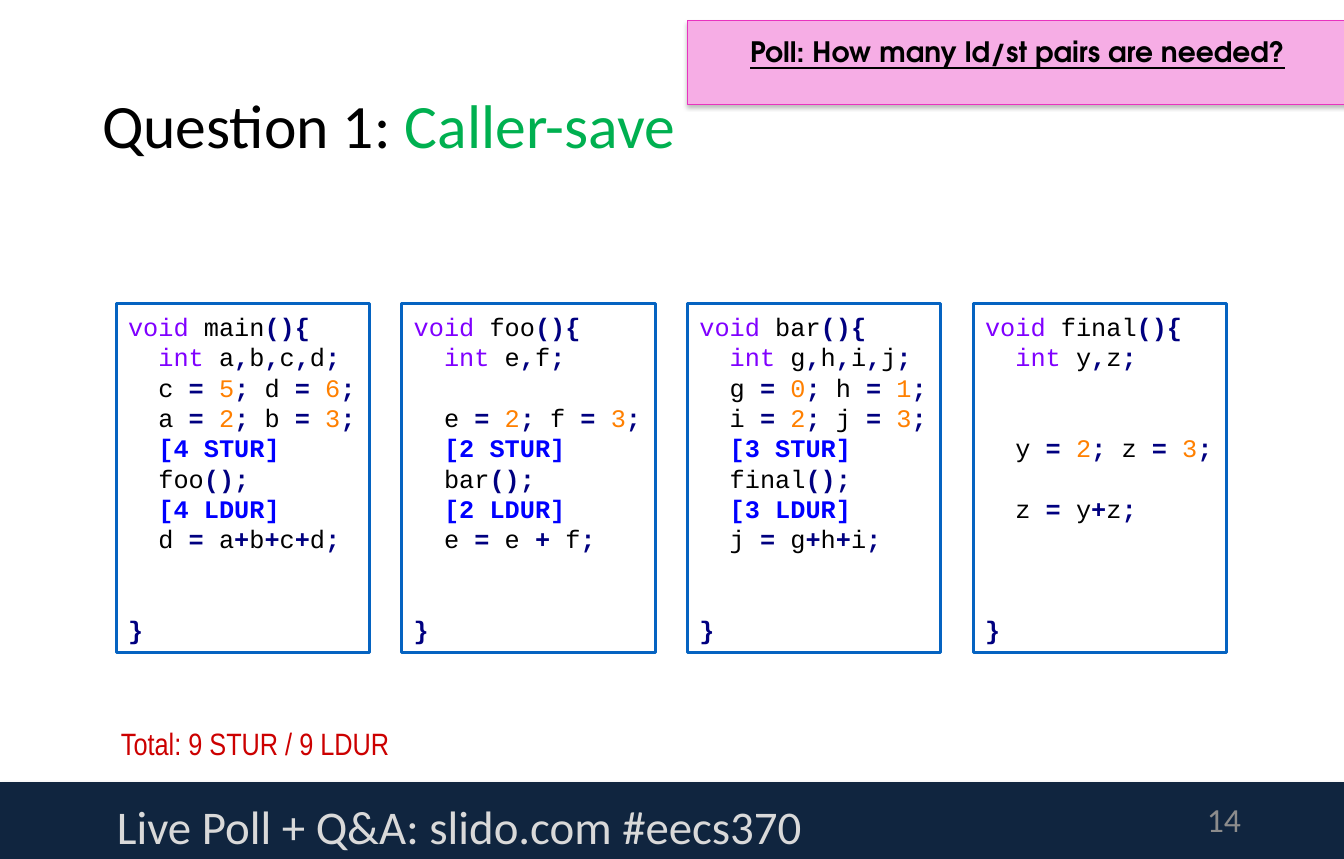
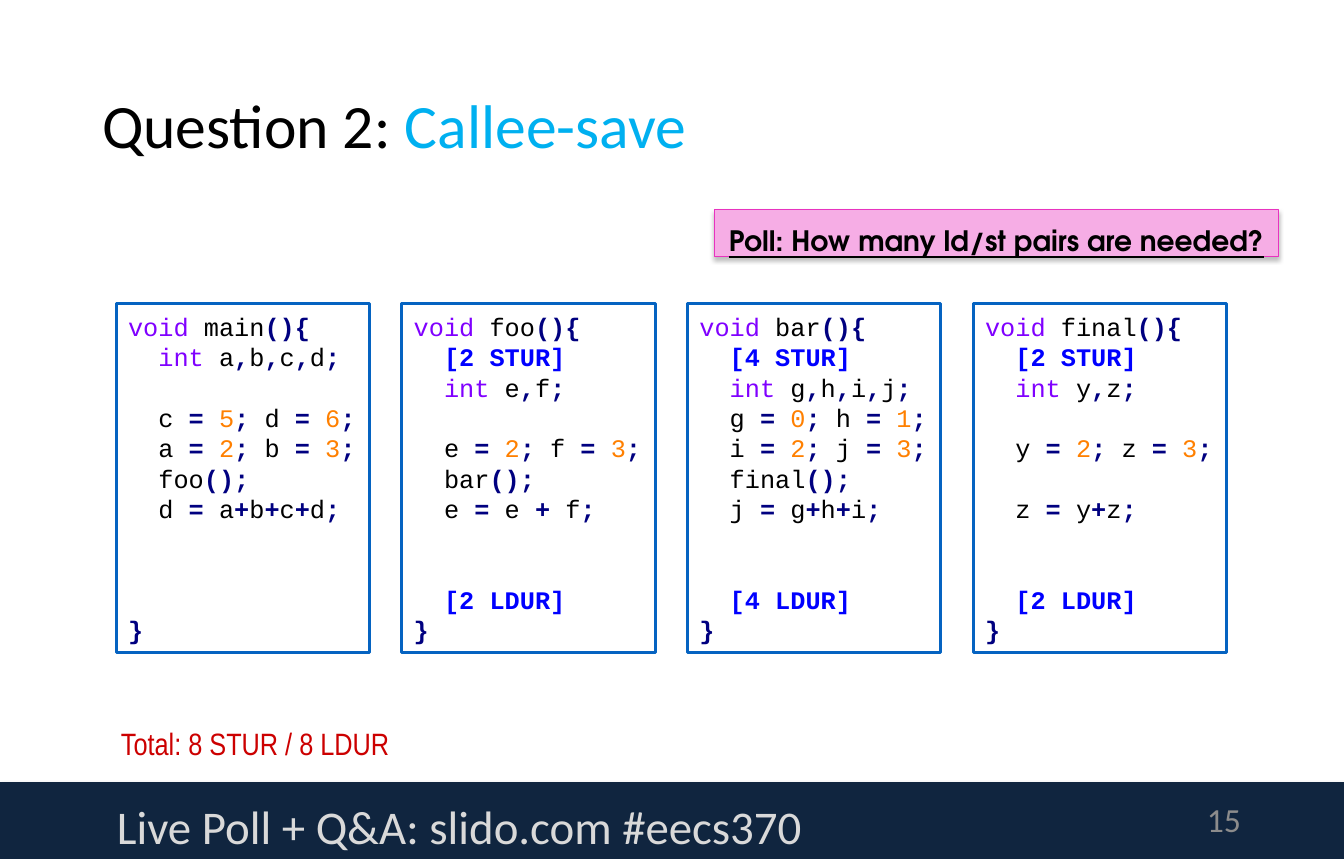
"""Build two poll slides on caller-save and callee-save registers."""
import itertools

import pptx
import pptx.dml.color
import pptx.enum.shapes
import pptx.enum.text
import pptx.oxml
import pptx.oxml.ns
import pptx.util
from pptx.dml.color import RGBColor
from pptx.util import Cm, Pt

BLACK = RGBColor(0x00, 0x00, 0x00)
WHITE = RGBColor(0xFF, 0xFF, 0xFF)
BAND = RGBColor(0x10, 0x25, 0x3F)
BAND_TEXT = RGBColor(0xD9, 0xD9, 0xD9)
NUMBER_GREY = RGBColor(0x8C, 0x8C, 0x8C)
GREEN = RGBColor(0x00, 0xB0, 0x50)
SKY = RGBColor(0x00, 0xB0, 0xF0)
FRAME = RGBColor(0x05, 0x63, 0xC1)
TOTAL_RED = RGBColor(0xCC, 0x00, 0x00)
PINK = RGBColor(0xF6, 0xAD, 0xE5)
PINK_EDGE = RGBColor(0xE8, 0x33, 0xBF)
KEYWORD = RGBColor(0x80, 0x00, 0xFF)
DIGIT = RGBColor(0xFF, 0x80, 0x00)
SYMBOL = RGBColor(0x00, 0x00, 0x80)
SAVE = RGBColor(0x00, 0x00, 0xFF)

RECTANGLE = pptx.enum.shapes.MSO_SHAPE.RECTANGLE
ALIGN = pptx.enum.text.PP_ALIGN
ANCHOR = pptx.enum.text.MSO_ANCHOR
FIT = pptx.enum.text.MSO_AUTO_SIZE
CODE_LINE = 21.6

QUESTIONS = [
    {
        "number": "14",
        "title": "Question 1: ",
        "policy": "Caller-save",
        "color": GREEN,
        "total": "Total: 9 STUR / 9 LDUR",
        "poll": (17.27, 0.51, 16.61, 2.11),
        "listings": [
            """void main(){
  int a,b,c,d;
  c = 5; d = 6;
  a = 2; b = 3;
  [4 STUR]
  foo();
  [4 LDUR]
  d = a+b+c+d;


}""",
            """void foo(){
  int e,f;

  e = 2; f = 3;
  [2 STUR]
  bar();
  [2 LDUR]
  e = e + f;


}""",
            """void bar(){
  int g,h,i,j;
  g = 0; h = 1;
  i = 2; j = 3;
  [3 STUR]
  final();
  [3 LDUR]
  j = g+h+i;


}""",
            """void final(){
  int y,z;


  y = 2; z = 3;

  z = y+z;



}""",
        ],
    },
    {
        "number": "15",
        "title": "Question 2: ",
        "policy": "Callee-save",
        "color": SKY,
        "total": "Total: 8 STUR / 8 LDUR",
        "poll": (17.96, 5.26, 14.17, 1.19),
        "listings": [
            """void main(){
  int a,b,c,d;

  c = 5; d = 6;
  a = 2; b = 3;
  foo();
  d = a+b+c+d;



}""",
            """void foo(){
  [2 STUR]
  int e,f;

  e = 2; f = 3;
  bar();
  e = e + f;


  [2 LDUR]
}""",
            """void bar(){
  [4 STUR]
  int g,h,i,j;
  g = 0; h = 1;
  i = 2; j = 3;
  final();
  j = g+h+i;


  [4 LDUR]
}""",
            """void final(){
  [2 STUR]
  int y,z;

  y = 2; z = 3;

  z = y+z;


  [2 LDUR]
}""",
        ],
    },
]


def add_span(para, text, font, size, color, bold=False):
    span = para.add_run()
    span.text = text
    span.font.name = font
    span.font.size = Pt(size)
    span.font.color.rgb = color
    span.font.bold = bold
    return span


def add_box(slide, place, fill, edge=None, edge_width=0, shadow=None):
    box = slide.shapes.add_shape(RECTANGLE, *map(Cm, place))
    box.shadow.inherit = False
    box.fill.solid()
    box.fill.fore_color.rgb = fill
    if edge is None:
        box.line.fill.background()
    else:
        box.line.color.rgb = edge
        box.line.width = Pt(edge_width)
    if shadow:
        color, alpha, blur, distance = shadow
        effects = box._element.spPr.find(pptx.oxml.ns.qn("a:effectLst"))
        effects.append(pptx.oxml.parse_xml(
            f'<a:outerShdw {pptx.oxml.ns.nsdecls("a")} blurRad="{Pt(blur)}" '
            f'dist="{Pt(distance)}" dir="5400000" rotWithShape="0">'
            f'<a:srgbClr val="{color}"><a:alpha val="{alpha * 1000}"/></a:srgbClr>'
            '</a:outerShdw>'))
    frame = box.text_frame
    frame.margin_left = frame.margin_right = Cm(0.3)
    frame.margin_top = frame.margin_bottom = Cm(0.15)
    return box


deck = pptx.Presentation()
deck.slide_width = Cm(33.78)
deck.slide_height = Cm(21.59)

for question in QUESTIONS:
    page = deck.slides.add_slide(deck.slide_layouts[5])
    add_box(page, (0, 19.66, 33.78, 1.93), BAND, shadow=("808080", 35, 3.1, 1.8))

    title = page.shapes.title
    title.left, title.top, title.width, title.height = map(Cm, (2.31, 1.14, 29.13, 4.17))
    title.text_frame.auto_size = FIT.NONE
    title.text_frame.vertical_anchor = ANCHOR.MIDDLE
    para = title.text_frame.paragraphs[0]
    para.alignment = ALIGN.LEFT
    para.line_spacing = 0.9
    add_span(para, question["title"], "Calibri", 43.9, BLACK)
    add_span(para, question["policy"], "Calibri", 43.9, question["color"])

    for column, listing in enumerate(question["listings"]):
        place = (2.92 + 7.18 * column, 7.62, 6.37, 8.79)
        frame = add_box(page, place, WHITE, FRAME, 2.25).text_frame
        frame.word_wrap = False
        frame.vertical_anchor = ANCHOR.MIDDLE
        para = frame.paragraphs[0]
        skipped = 0
        for row, line in enumerate(listing.split("\n")):
            if not line:
                skipped += 1
                continue
            if row:
                para = frame.add_paragraph()
            para.alignment = ALIGN.LEFT
            para.line_spacing = Pt(CODE_LINE)
            if skipped:
                para.space_before = Pt(CODE_LINE * skipped)
                skipped = 0
            if line.strip().startswith("["):
                add_span(para, line, "Courier New", 18, SAVE, True)
                continue
            for kind, letters in itertools.groupby(
                    line, lambda c: (c.isalpha(), c.isdigit(), c.isspace())):
                token = "".join(letters)
                if token in ("void", "int"):
                    color = KEYWORD
                elif token.isdigit():
                    color = DIGIT
                else:
                    color = BLACK if any(kind) else SYMBOL
                add_span(para, token, "Courier New", 18, color, color == SYMBOL)

    poll = add_box(page, question["poll"], PINK, PINK_EDGE, 0.75, ("000000", 25, 3, 2))
    poll.text_frame.vertical_anchor = ANCHOR.TOP
    para = poll.text_frame.paragraphs[0]
    para.alignment = ALIGN.CENTER
    para.line_spacing = 1.25
    span = add_span(para, "Poll: How many ld/st pairs are needed?",
                    "TeX Gyre Adventor", 20, BLACK, True)
    span.font.underline = True

    for text, place, font, size, color, align, anchor, inset in (
        (question["total"], (2.74, 18.06, 7.44, 1.27), "Arial Narrow", 22,
         TOTAL_RED, ALIGN.LEFT, ANCHOR.TOP, (0.3, 0.15)),
        ("Live Poll + Q&A: slido.com #eecs370", (2.69, 19.91, 21.97, 1.68), "Calibri", 33.4,
         BAND_TEXT, ALIGN.LEFT, ANCHOR.TOP, (0.25, 0.13)),
        (question["number"], (23.85, 20.02, 7.59, 1.14), "Calibri", 24,
         NUMBER_GREY, ALIGN.RIGHT, ANCHOR.MIDDLE, (0.25, 0.13)),
    ):
        frame = page.shapes.add_textbox(*map(Cm, place)).text_frame
        frame.word_wrap = text != question["total"]
        frame.vertical_anchor = anchor
        frame.margin_left = frame.margin_right = Cm(inset[0])
        frame.margin_top = frame.margin_bottom = Cm(inset[1])
        para = frame.paragraphs[0]
        para.alignment = align
        add_span(para, text, font, size, color)

deck.save("out.pptx")
